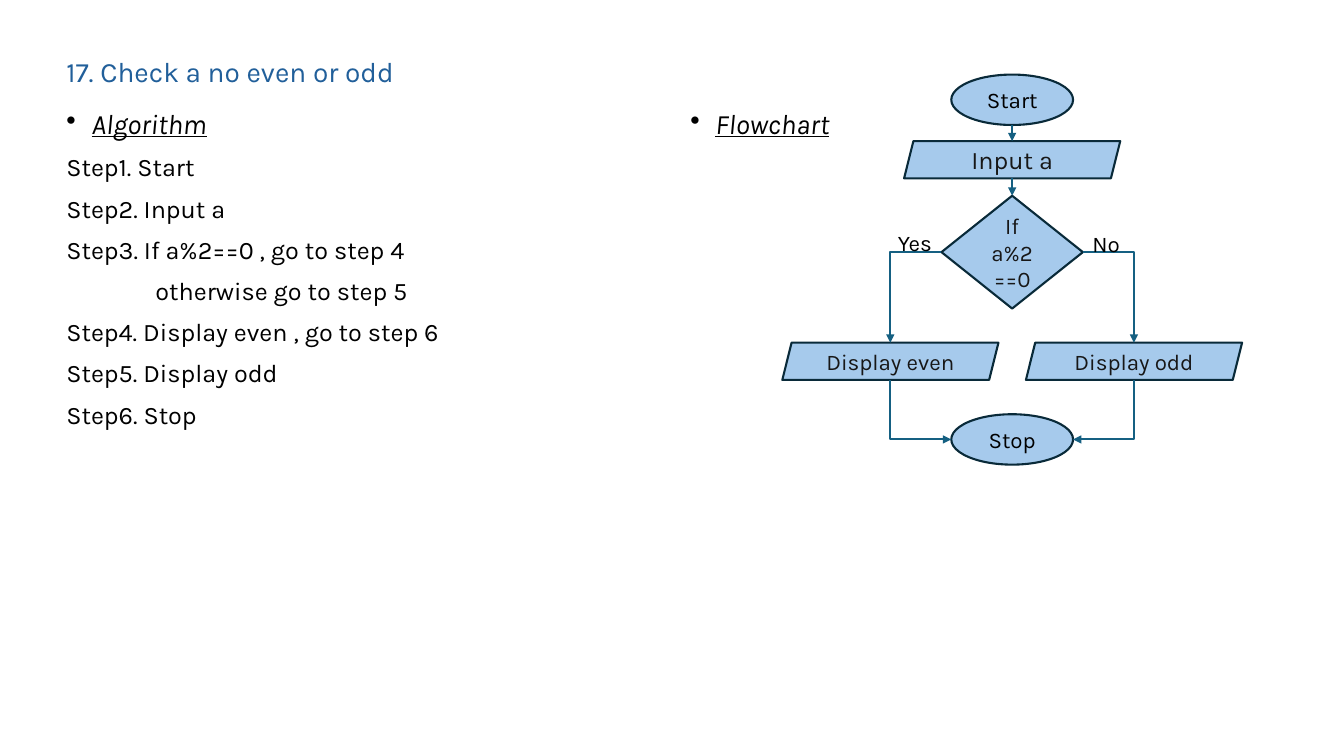
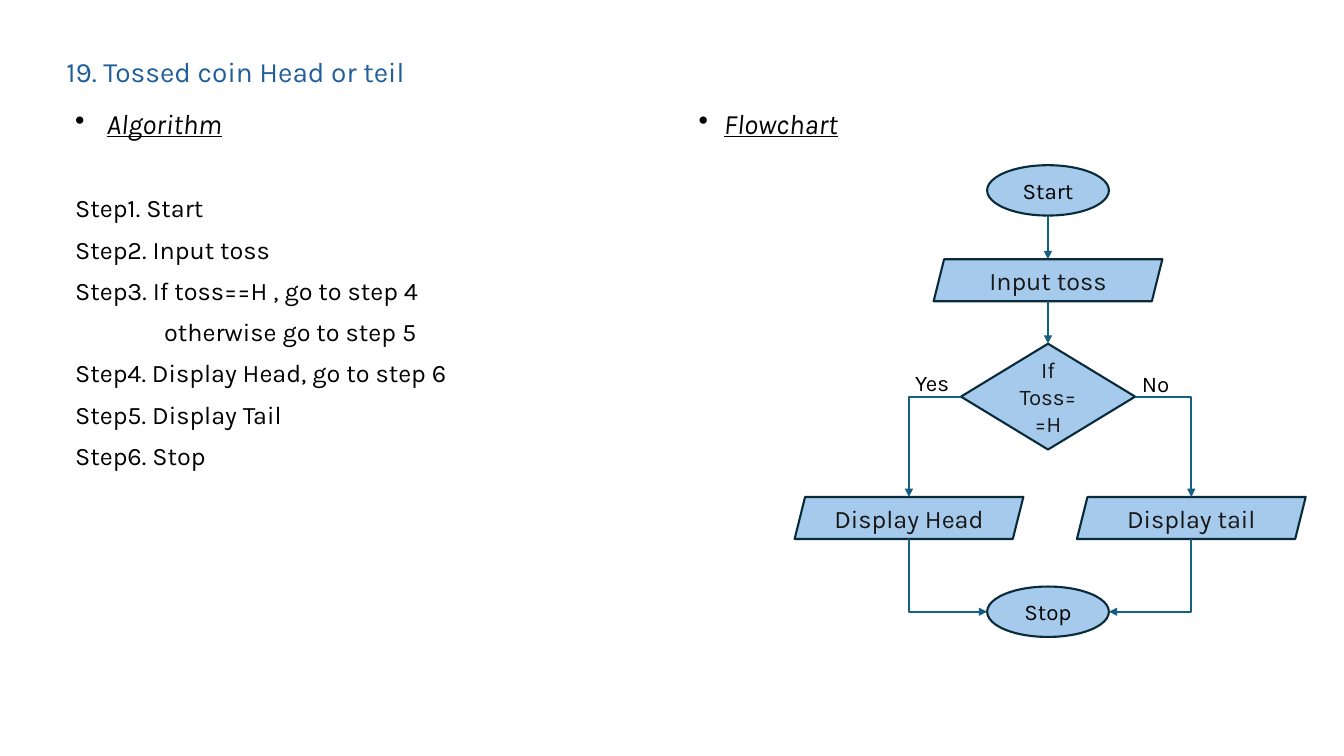
from dataclasses import dataclass

from pptx import Presentation
from pptx.dml.color import RGBColor
from pptx.enum.shapes import MSO_CONNECTOR, MSO_SHAPE
from pptx.enum.text import MSO_ANCHOR, PP_ALIGN
from pptx.oxml.ns import qn
from pptx.util import Pt
from lxml.etree import SubElement


@dataclass(frozen=True)
class Theme:
    font: str = "Karla"
    title: str = "215F9A"
    text: str = "000000"
    node_text: str = "171717"
    node_fill: str = "A6CAEC"
    node_line: str = "092A39"
    arrow: str = "156082"
    heading_size: int = 20
    step_size: int = 18
    node_size: int = 16
    stroke: float = 1.5


@dataclass(frozen=True)
class Flow:
    center: float
    branch_centers: tuple
    tops: tuple
    data_size: tuple
    diamond_size: tuple
    texts: tuple
    display_type: int
    labels: tuple


@dataclass(frozen=True)
class Lesson:
    title: str
    body_lefts: tuple
    algorithm_hang: float
    steps_gap: float
    steps: tuple
    flow: Flow


THEME = Theme()
TERMINAL_SIZE = (87, 36)
STEP_GAP = 10
CONTINUED_INDENT = 63.6

LESSONS = (
    Lesson(
        "17. Check a no even or odd", (40.3, 486), 18, STEP_GAP,
        ("Step1. Start", "Step2. Input a", "Step3. If a%2==0 , go to step 4",
         "otherwise go to step 5", "Step4. Display even , go to step 6",
         "Step5. Display odd", "Step6. Stop"),
        Flow(723, (636, 810), (53.3, 100.8, 139.8, 244.8, 295.9),
             (154.4, 26.6), (101, 80.6),
             ("Input a", "If a%2 ==0", "Display even", "Display odd"),
             THEME.node_size, ((634.3, 159.8, 58), (773.3, 160.6, 58))),
    ),
    Lesson(
        "19. Tossed coin Head or teil", (46.6, 492), 22.5, 39.4,
        ("Step1. Start", "Step2. Input toss", "Step3. If toss==H , go to step 4",
         "otherwise go to step 5", "Step4. Display Head, go to step 6",
         "Step5. Display Tail", "Step6. Stop"),
        Flow(748.6, (649.3, 851), (118, 185.2, 245.5, 355, 419),
             (163.4, 30), (124.4, 75.6),
             ("Input toss", "If\nToss==H", "Display Head", "Display tail"),
             THEME.step_size, ((646.6, 259.9, 47), (808.6, 260.6, 61))),
    ),
)


def rgb(value):
    return RGBColor.from_string(value)


def style(paragraph, size, color, emphasis=False):
    font = paragraph.font
    font.name, font.size, font.color.rgb = THEME.font, Pt(size), rgb(color)
    if emphasis:
        font.italic = font.underline = True


def add_text(slide, left, top, width, height):
    frame = slide.shapes.add_textbox(Pt(left), Pt(top), Pt(width), Pt(height)).text_frame
    frame.word_wrap = True
    return frame


def write_line(paragraph, text, size, color, before=0, emphasis=False):
    paragraph.text = text
    paragraph.line_spacing = 0.9
    paragraph.space_before = Pt(before)
    style(paragraph, size, color, emphasis)


def add_title(slide, text):
    frame = add_text(slide, 40.3, 28.8, 853, 47.5)
    frame.vertical_anchor = MSO_ANCHOR.MIDDLE
    write_line(frame.paragraphs[0], text, THEME.heading_size, THEME.title)


def indent(paragraph, margin, first=0):
    properties = paragraph._p.get_or_add_pPr()
    properties.set("marL", str(Pt(margin)))
    properties.set("indent", str(Pt(first)))
    return properties


def add_body(slide, left, width, heading, hang=18):
    frame = add_text(slide, left, 75.6, width, 410.4)
    paragraph = frame.paragraphs[0]
    SubElement(indent(paragraph, hang, -hang), qn("a:buChar"), char="•")
    write_line(paragraph, heading, THEME.heading_size, THEME.text, STEP_GAP, True)
    return frame


def add_steps(frame, steps, first_gap):
    for index, step in enumerate(steps):
        paragraph = frame.add_paragraph()
        if not step.startswith("Step"):
            indent(paragraph, CONTINUED_INDENT)
        write_line(paragraph, step, THEME.step_size, THEME.text,
                   STEP_GAP if index else first_gap)


def add_node(slide, kind, center, top, dimensions, text, size, color=THEME.node_text):
    width, height = dimensions
    node = slide.shapes.add_shape(kind, Pt(center - width / 2), Pt(top), Pt(width), Pt(height))
    node.shadow.inherit = False
    node.fill.solid()
    node.fill.fore_color.rgb = rgb(THEME.node_fill)
    node.line.color.rgb = rgb(THEME.node_line)
    node.line.width = Pt(THEME.stroke)
    frame = node.text_frame
    frame.word_wrap = True
    frame.vertical_anchor = MSO_ANCHOR.MIDDLE
    frame.text = text
    for paragraph in frame.paragraphs:
        paragraph.alignment = PP_ALIGN.CENTER
        style(paragraph, size, color)
    return node


def add_arrow(slide, kind, start, end):
    points = [Pt(value) for value in (*start, *end)]
    arrow = slide.shapes.add_connector(kind, *points)
    arrow.line.color.rgb = rgb(THEME.arrow)
    arrow.line.width = Pt(THEME.stroke)
    SubElement(arrow.line._get_or_add_ln(), qn("a:tailEnd"), type="triangle")
    SubElement(arrow._element.spPr, qn("a:effectLst"))
    return arrow


def add_bend(slide, start, end):
    bend = add_arrow(slide, MSO_CONNECTOR.ELBOW, start, end)
    bend._element.spPr.find(qn("a:prstGeom")).set("prst", "bentConnector2")
    return bend


def add_down_bend(slide, start, end):
    (x1, y1), (x2, y2) = start, end
    middle_x, middle_y = (x1 + x2) / 2, (y1 + y2) / 2
    toward_right = x2 > x1
    half_run = (y2 - y1) / 2 * (1 if toward_right else -1)
    half_rise = abs(x2 - x1) / 2
    bend = add_bend(slide, (middle_x + half_run, middle_y - half_rise),
                    (middle_x - half_run, middle_y + half_rise))
    quarter_turns = 3 if toward_right else 1
    bend._element.spPr.find(qn("a:xfrm")).set("rot", str(quarter_turns * 90 * 60000))


def add_flowchart(slide, flow):
    start_top, input_top, decision_top, display_top, stop_top = flow.tops
    input_text, decision_text, *display_texts = flow.texts
    terminal_width, terminal_height = TERMINAL_SIZE
    data_height = flow.data_size[1]
    diamond_width, diamond_height = flow.diamond_size
    for text, top in (("Start", start_top), ("Stop", stop_top)):
        add_node(slide, MSO_SHAPE.OVAL, flow.center, top, TERMINAL_SIZE, text,
                 THEME.node_size, THEME.text)
    add_node(slide, MSO_SHAPE.PARALLELOGRAM, flow.center, input_top, flow.data_size,
             input_text, THEME.step_size)
    decision = add_node(slide, MSO_SHAPE.DIAMOND, flow.center, decision_top,
                        flow.diamond_size, decision_text, THEME.node_size)

    add_arrow(slide, MSO_CONNECTOR.STRAIGHT, (flow.center, start_top + terminal_height),
              (flow.center, input_top))
    to_decision = add_arrow(slide, MSO_CONNECTOR.STRAIGHT,
                            (flow.center, input_top + data_height),
                            (flow.center, decision_top))
    to_decision.end_connect(decision, 0)

    branches = zip((-1, 1), flow.branch_centers, display_texts, ("Yes", "No"), flow.labels)
    for side, branch, text, answer, (left, top, width) in branches:
        add_node(slide, MSO_SHAPE.PARALLELOGRAM, branch, display_top, flow.data_size,
                 text, flow.display_type)
        add_bend(slide, (flow.center + side * diamond_width / 2,
                         decision_top + diamond_height / 2), (branch, display_top))
        add_down_bend(slide, (branch, display_top + data_height),
                      (flow.center + side * terminal_width / 2,
                       stop_top + terminal_height / 2))
        label = add_text(slide, left, top, width, 26.6).paragraphs[0]
        label.text = answer
        style(label, THEME.node_size, THEME.text)


def add_lesson(deck, lesson):
    slide = deck.slides.add_slide(deck.slide_layouts[6])
    add_title(slide, lesson.title)
    algorithm_left, flowchart_left = lesson.body_lefts
    algorithm = add_body(slide, algorithm_left, 433.4, "Algorithm", lesson.algorithm_hang)
    add_steps(algorithm, lesson.steps, lesson.steps_gap)
    add_body(slide, flowchart_left, 408.2, "Flowchart")
    add_flowchart(slide, lesson.flow)


def main():
    deck = Presentation()
    deck.slide_width, deck.slide_height = Pt(960), Pt(540)
    for lesson in LESSONS:
        add_lesson(deck, lesson)
    deck.save("out.pptx")


if __name__ == "__main__":
    main()
